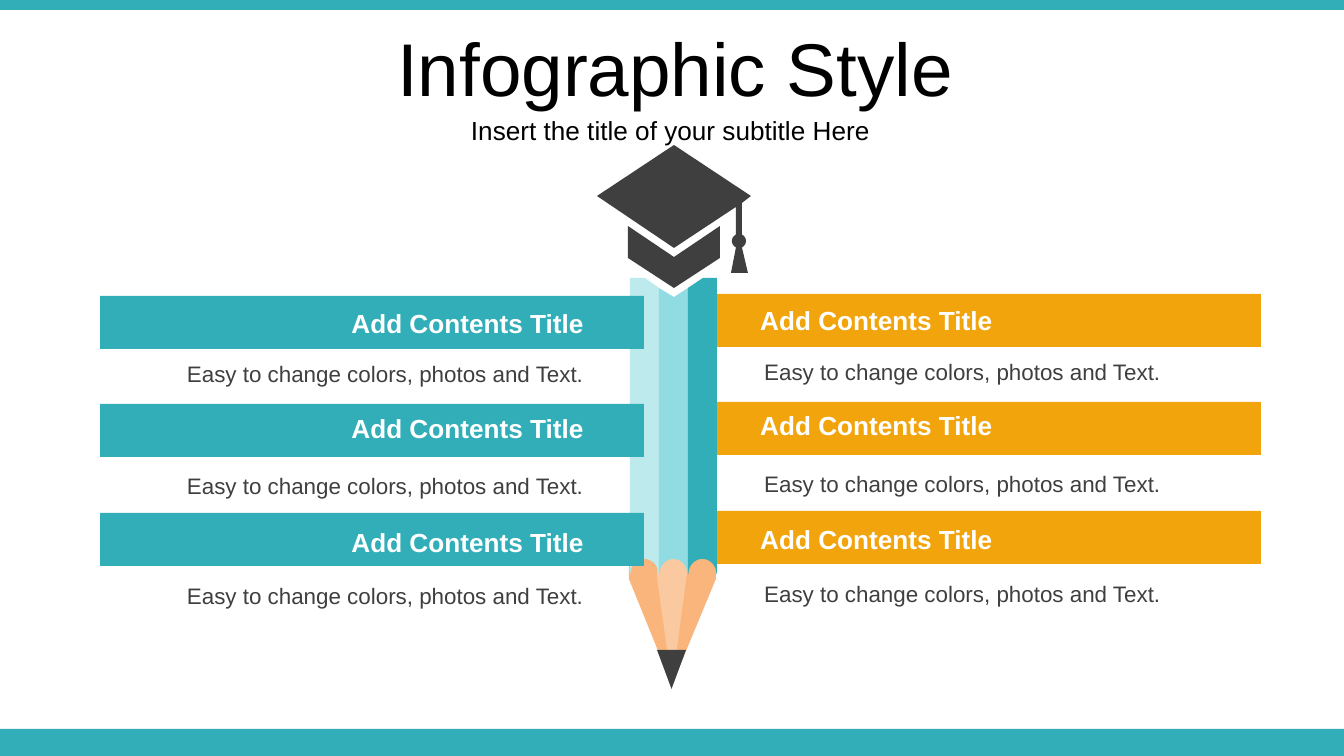
from math import cos, radians, sin

from pptx import Presentation
from pptx import util as u
from pptx.dml.color import RGBColor
from pptx.enum import shapes, text

EMU_PER_PX = 914400 / 134.4
TEAL, AQUA, PALE, ORANGE = "32AEB8", "90DCE2", "BCEAED", "F2A40D"
WOOD, LIGHT_WOOD, DARK, WHITE, BLACK = "F9B57C", "FBC9A0", "3F3F3F", "FFFFFF", "000000"

TITLE = "Infographic Style"
SUBTITLE = "Insert the title of your subtitle Here"
ROWS = [  # heading, body, then tops of bar, heading and body on the right side
    ("Add Contents Title", "Easy to change colors, photos and Text.", 294, 298, 352),
    ("Add Contents Title", "Easy to change colors, photos and Text.", 402, 403, 464),
    ("Add Contents Title", "Easy to change colors, photos and Text.", 511, 517, 574),
]
RIGHT = dict(color=ORANGE, bar_x=717, heading_x=747, body_x=751,
             bar_drop=0, heading_drop=0, body_drop=0, align=text.PP_ALIGN.LEFT)
LEFT = dict(color=TEAL, bar_x=100, heading_x=249, body_x=116,
            bar_drop=2, heading_drop=3, body_drop=2, align=text.PP_ALIGN.RIGHT)

STRIP_X, STRIP_WIDTH, STRIP_BOTTOM = 630, 29, 574
STRIPS = [  # colour, top edge as (x offset, y)
    (PALE, [(0, 278), (15, 278), (29, 288)]),
    (AQUA, [(0, 288), (15, 297), (29, 288)]),
    (TEAL, [(0, 288), (15, 278), (29, 278)]),
]
WOOD_OUTLINE = [(629, 558), (716, 559), (716, 579), (672, 685), (629, 579)]
LIGHT_WOOD_OUTLINE = [(657, 558), (687, 558), (687, 573), (672, 685), (657, 578)]
CAP_BAND = [(628, 226), (674, 257), (720, 226), (720, 258), (674, 288), (628, 258)]


def px(length):
    return u.Emu(round(length * EMU_PER_PX))


def rgb(color):
    return RGBColor.from_string(color)


def arc(x, y, radius_x, radius_y, start, end, steps=16):
    """Points on an ellipse, angles in degrees clockwise from the right."""
    angles = [radians(start + (end - start) * i / steps) for i in range(steps + 1)]
    return [(x + radius_x * cos(a), y + radius_y * sin(a)) for a in angles]


def paint(shape, color):
    shape.shadow.inherit = False
    shape.fill.solid()
    shape.fill.fore_color.rgb = rgb(color)
    shape.line.fill.background()
    return shape


def add_block(parent, box, color, kind=shapes.MSO_SHAPE.RECTANGLE):
    return paint(parent.shapes.add_shape(kind, *map(px, box)), color)


def add_outline(parent, color, *contours):
    scaled = [[(px(x), px(y)) for x, y in contour] for contour in contours]
    builder = parent.shapes.build_freeform(*scaled[0][0], scale=1.0)
    builder.add_line_segments(scaled[0][1:], close=True)
    for contour in scaled[1:]:
        builder.move_to(*contour[0])
        builder.add_line_segments(contour[1:], close=True)
    paint(builder.convert_to_shape(), color)


def add_text(slide, words, box, size, color, align, bold=False, inset=0.05,
             anchor=text.MSO_ANCHOR.TOP):
    frame = slide.shapes.add_textbox(*map(px, box)).text_frame
    frame.word_wrap = True
    frame.vertical_anchor = anchor
    frame.margin_top = frame.margin_bottom = u.Inches(inset)
    paragraph = frame.paragraphs[0]
    paragraph.alignment = align
    run = paragraph.add_run()
    run.text = words
    run.font.name, run.font.size, run.font.bold = "Arial", u.Pt(size), bold
    run.font.color.rgb = rgb(color)


def add_bars(slide, side):
    for _, _, bar_y, _, _ in ROWS:
        add_block(slide, (side["bar_x"], bar_y + side["bar_drop"], 544, 53), side["color"])


def add_row_texts(slide, side):
    for heading, body, _, heading_y, body_y in ROWS:
        add_text(slide, heading, (side["heading_x"], heading_y + side["heading_drop"], 348, 46),
                 14, WHITE, side["align"], bold=True)
        add_text(slide, body, (side["body_x"], body_y + side["body_drop"], 481, 40),
                 12, DARK, side["align"])


def add_pencil(group):
    add_outline(group, WOOD, WOOD_OUTLINE)
    add_outline(group, LIGHT_WOOD, LIGHT_WOOD_OUTLINE)
    for index, (color, top) in enumerate(STRIPS):
        x = STRIP_X + index * STRIP_WIDTH
        scallop = arc(x + STRIP_WIDTH / 2, STRIP_BOTTOM, 14, 15, 0, -180)
        corners = [(x + STRIP_WIDTH, STRIP_BOTTOM), *scallop, (x, STRIP_BOTTOM)]
        add_outline(group, color, [(x + dx, y) for dx, y in top] + corners)
    lead = add_block(group, (657, 650, 29, 39), DARK, shapes.MSO_SHAPE.ISOSCELES_TRIANGLE)
    lead.rotation = 180


def add_cap(group):
    board = [(674, 145), (751, 196), (742, 203),
             *arc(739, 241, 7, 7, -65, 65), (748, 273), (731, 273),
             *arc(739, 241, 7, 7, 115, 245), (736, 207), (674, 248), (597, 196)]
    add_outline(group, DARK, CAP_BAND, board)


def main():
    presentation = Presentation()
    presentation.slide_width, presentation.slide_height = px(1344), px(756)
    slide = presentation.slides.add_slide(presentation.slide_layouts[6])
    add_block(slide, (0, 729, 1344, 27), TEAL)
    add_block(slide, (0, 0, 1344, 10), TEAL)
    add_bars(slide, RIGHT)
    group = slide.shapes.add_group_shape()
    add_pencil(group)
    add_cap(group)
    add_bars(slide, LEFT)
    add_row_texts(slide, RIGHT)
    add_row_texts(slide, LEFT)
    centred = dict(color=BLACK, align=text.PP_ALIGN.CENTER, inset=0.1,
                   anchor=text.MSO_ANCHOR.MIDDLE)
    add_text(slide, TITLE, (3, 22, 1344, 89), 40, **centred)
    add_text(slide, SUBTITLE, (1, 109, 1339, 42), 14, **centred)
    presentation.save("out.pptx")


if __name__ == "__main__":
    main()
